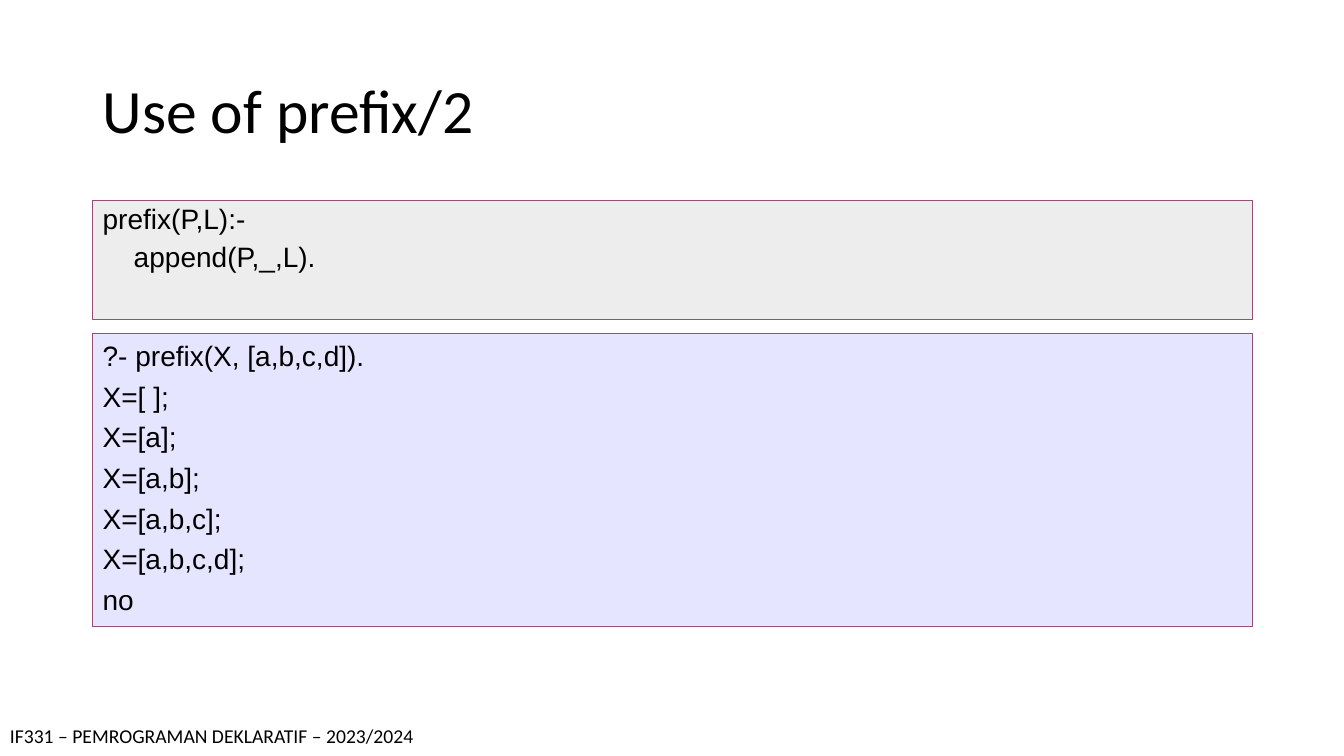
from pptx import Presentation
from pptx.dml.color import RGBColor
from pptx.enum.shapes import MSO_SHAPE
from pptx.enum.text import MSO_ANCHOR, MSO_AUTO_SIZE, PP_ALIGN
from pptx.oxml.ns import qn
from pptx.util import Inches, Pt
from lxml import etree

BLACK = RGBColor(0x00, 0x00, 0x00)
GREY = RGBColor(0xDD, 0xDD, 0xDD)
LAVENDER = RGBColor(0xCC, 0xCC, 0xFF)
PLUM = RGBColor(0x95, 0x4F, 0x72)

LEFT, WIDTH = 0.92, 11.5
DEFINITION = ["prefix(P,L):-", "    append(P,_,L)."]
QUERY = [
    "?- prefix(X, [a,b,c,d]).",
    "X=[ ];",
    "X=[a];",
    "X=[a,b];",
    "X=[a,b,c];",
    "X=[a,b,c,d];",
    "no",
]


def place(shape, left, top, width, height):
    bounds = {"left": left, "top": top, "width": width, "height": height}
    for side, value in bounds.items():
        setattr(shape, side, Inches(value))


def format_paragraph(paragraph, size, face):
    paragraph.alignment = PP_ALIGN.LEFT
    font = paragraph.font
    for name, value in {"size": Pt(size), "name": face}.items():
        setattr(font, name, value)
    font.color.rgb = BLACK


def set_title(slide, text):
    title = slide.shapes.title
    place(title, LEFT, 0.4, WIDTH, 1.45)
    frame = title.text_frame
    frame.text = text
    frame.vertical_anchor = MSO_ANCHOR.MIDDLE
    frame.paragraphs[0].line_spacing = 0.9
    format_paragraph(frame.paragraphs[0], 44, "Calibri")


def add_footer(slide, text):
    footer = slide.shapes.add_textbox(
        Inches(0), Inches(7.13), Inches(13.33), Inches(0.34))
    frame = footer.text_frame
    frame.word_wrap = True
    frame.auto_size = MSO_AUTO_SIZE.SHAPE_TO_FIT_TEXT
    frame.text = text
    format_paragraph(frame.paragraphs[0], 14, "Calibri")


def set_half_transparent(shape, color):
    shape.fill.solid()
    shape.fill.fore_color.rgb = color
    tint = shape.fill._xPr.find(qn("a:solidFill"))[0]
    etree.SubElement(tint, qn("a:alpha")).set("val", "50000")


def add_code_panel(slide, lines, top, height, color, indent, spacing):
    panel = slide.shapes.add_shape(
        MSO_SHAPE.RECTANGLE,
        Inches(LEFT), Inches(top), Inches(WIDTH), Inches(height))
    panel.shadow.inherit = False
    set_half_transparent(panel, color)
    panel.line.color.rgb = PLUM
    panel.line.width = Pt(0.75)
    frame = panel.text_frame
    frame.word_wrap = True
    frame.vertical_anchor = MSO_ANCHOR.TOP
    frame.text = "\n".join(lines)
    for number, paragraph in enumerate(frame.paragraphs):
        properties = paragraph._p.get_or_add_pPr()
        properties.set("marL", str(Inches(indent)))
        properties.set("indent", str(-Inches(indent)))
        paragraph.line_spacing = spacing
        if number:
            paragraph.space_before = Pt(5)
        format_paragraph(paragraph, 20, "Arial")


def main():
    deck = Presentation()
    deck.slide_width, deck.slide_height = Inches(13.33), Inches(7.5)
    slide = deck.slides.add_slide(deck.slide_layouts[5])
    set_title(slide, "Use of prefix/2")
    add_footer(slide, "IF331 – PEMROGRAMAN DEKLARATIF – 2023/2024")
    add_code_panel(slide, QUERY, 3.31, 2.91, LAVENDER, 0.38, 1.0)
    add_code_panel(slide, DEFINITION, 1.99, 1.18, GREY, 0.25, 0.9)
    deck.save("out.pptx")


if __name__ == "__main__":
    main()
